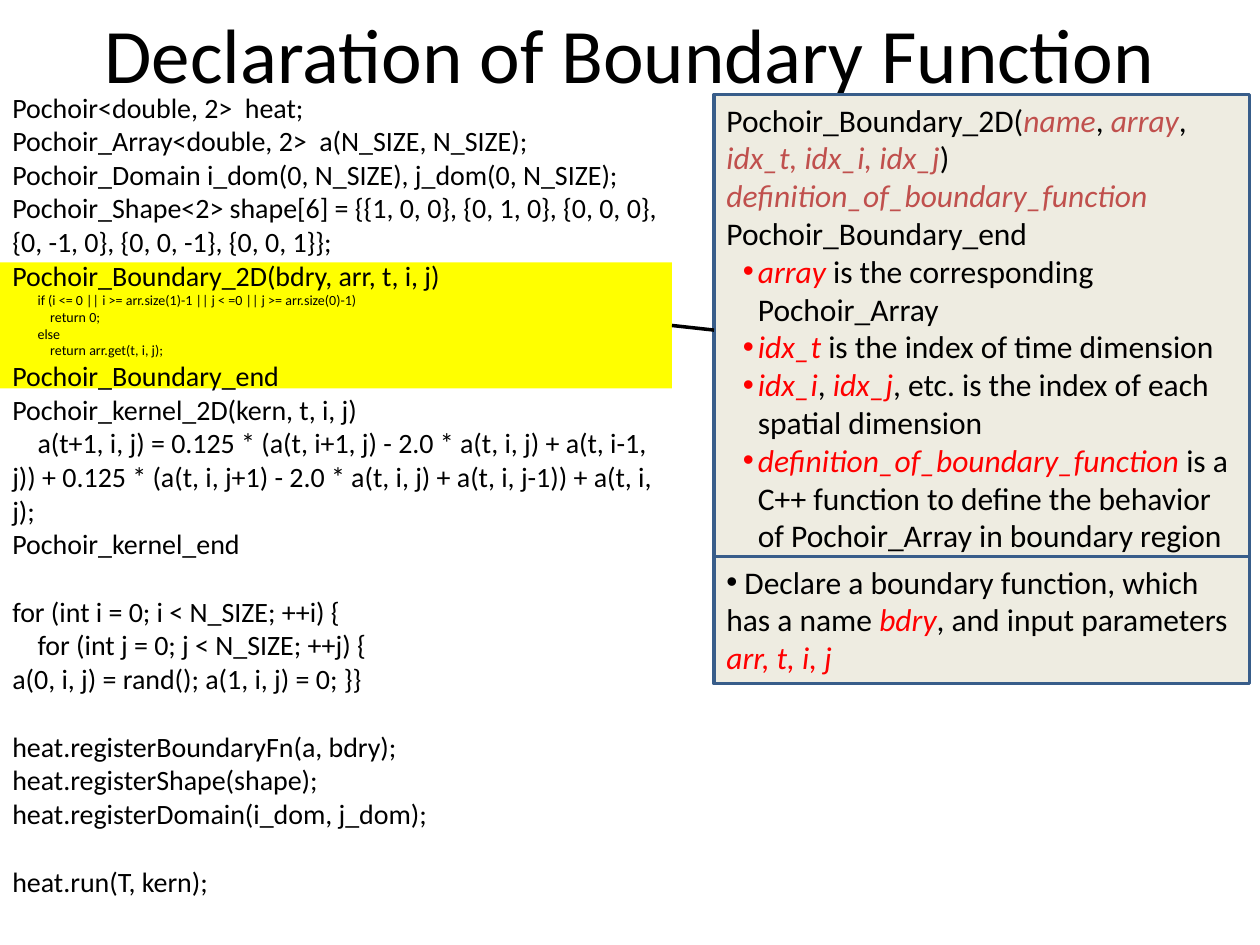
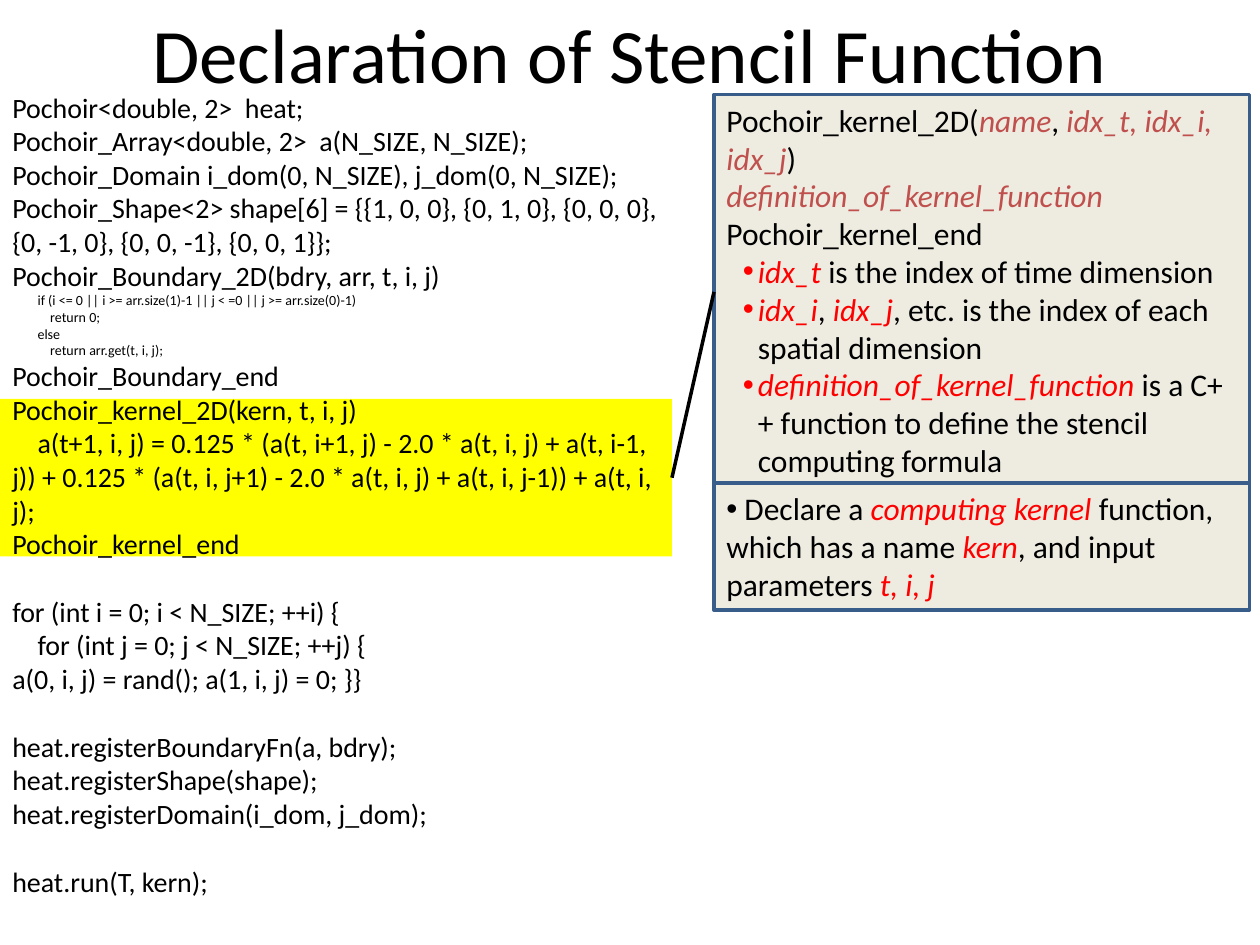
from pptx import Presentation
from pptx.dml.color import RGBColor
from pptx.enum.shapes import MSO_CONNECTOR as Connector, MSO_SHAPE as Shape
from pptx.enum.text import MSO_ANCHOR as Anchor, MSO_AUTO_SIZE as AutoSize, PP_ALIGN as Align
from pptx.oxml.ns import qn
from pptx.util import Inches, Pt
from lxml.etree import SubElement

WIDTH, HEIGHT = Inches(10), Inches(7.5)
COLUMNS, ROWS = 120, 90
FONT = "Calibri"
BLACK, ARGUMENT, KEYWORD = "000000", "C0504D", "FF0000"
HIGHLIGHT, PANEL, PANEL_EDGE = "FFFF00", "EEECE1", "385D8A"
CODE_SIZE, SMALL_CODE_SIZE, PANEL_SIZE = 16, 8, 18
CODE_LINE = 19.53
PANEL_PADDING, PANEL_LINE = 1.2, 3.64
TITLE_BOX = (6, 0, 108, 10)
CODE_BOX = (0, 8, 65, 78.7)
BAND_WIDTH = 64
PANEL_LEFT, PANEL_TOP, PANEL_WIDTH = 68, 9, 51

DECLARATIONS = [
    "Pochoir<double, 2>  heat;",
    "Pochoir_Array<double, 2>  a(N_SIZE, N_SIZE);",
    "Pochoir_Domain i_dom(0, N_SIZE), j_dom(0, N_SIZE);",
    "Pochoir_Shape<2> shape[6] = {{1, 0, 0}, {0, 1, 0}, {0, 0, 0}, {0, -1, 0}, {0, 0, -1}, {0, 0, 1}};",
    "Pochoir_Boundary_2D(bdry, arr, t, i, j)",
]
BOUNDARY_BODY = [
    ("if (i <= 0 || i >= arr.size(1)-1 || j < =0 || j >= arr.size(0)-1)", 0.2),
    ("return 0;", 0.3),
    ("else", 0.2),
    ("return arr.get(t, i, j);", 0.3),
]
KERNEL = [
    ("Pochoir_Boundary_end", 0),
    ("Pochoir_kernel_2D(kern, t, i, j)", 0),
    ("a(t+1, i, j) = 0.125 * (a(t, i+1, j) - 2.0 * a(t, i, j) + a(t, i-1, j)) + "
     "0.125 * (a(t, i, j+1) - 2.0 * a(t, i, j) + a(t, i, j-1)) + a(t, i, j);", 0.2),
    ("Pochoir_kernel_end", 0),
]
CLOSING_BLOCKS = [
    [("for (int i = 0; i < N_SIZE; ++i) {", 0),
     ("for (int j = 0; j < N_SIZE; ++j) {", 0.2),
     ("a(0, i, j) = rand(); a(1, i, j) = 0; }}", 0)],
    [("heat.registerBoundaryFn(a, bdry);", 0),
     ("heat.registerShape(shape);", 0),
     ("heat.registerDomain(i_dom, j_dom);", 0)],
    [("heat.run(T, kern);", 0)],
]


def arg(text):
    return text, ARGUMENT


def key(text):
    return text, KEYWORD


INDEX_NOTES = [
    [key("idx_t"), " is the index of time dimension"],
    [key("idx_i"), ", ", key("idx_j"), ", etc. is the index of each spatial dimension"],
]
TOPICS = [
    {
        "title": "Declaration of Boundary Function",
        "band": (25, 12),
        "syntax": [
            ["Pochoir_Boundary_2D(", arg("name"), ", ", arg("array"), ", ",
             arg("idx_t, idx_i, idx_j"), ")"],
            [arg("definition_of_boundary_function")],
            ["Pochoir_Boundary_end"],
        ],
        "notes": [
            [key("array "), "is the corresponding Pochoir_Array"],
            *INDEX_NOTES,
            [key("definition_of_boundary_function"),
             " is a C++ function to define the behavior of Pochoir_Array in boundary region"],
        ],
        "syntax_lines": 12,
        "summary_top": 53,
        "summary": [" Declare a boundary function, which has a name ", key("bdry"),
                    ", and input parameters ", key("arr, t, i, j")],
    },
    {
        "title": "Declaration of Stencil Function",
        "band": (38, 15),
        "syntax": [
            ["Pochoir_kernel_2D(", arg("name"), ", ", arg("idx_t, idx_i, idx_j"), ")"],
            [arg("definition_of_kernel_function")],
            ["Pochoir_kernel_end"],
        ],
        "notes": [
            *INDEX_NOTES,
            [key("definition_of_kernel_function"),
             " is a C++ function to define the stencil computing formula"],
        ],
        "syntax_lines": 10,
        "summary_top": 46,
        "summary": [" Declare a ", key("computing kernel "), "function, which has a name ",
                    key("kern"), ", and input parameters ", key("t, i, j")],
    },
]


def rgb(color):
    return RGBColor.from_string(color)


def on_grid(left, top, width, height):
    return (int(WIDTH * left / COLUMNS), int(HEIGHT * top / ROWS),
            int(WIDTH * width / COLUMNS), int(HEIGHT * height / ROWS))


def add_run(paragraph, text, size, color=BLACK):
    run = paragraph.add_run()
    run.text = text
    run.font.name = FONT
    run.font.size = Pt(size)
    run.font.italic = color != BLACK
    run.font.color.rgb = rgb(color)


def next_paragraph(frame):
    first = frame.paragraphs[0]
    paragraph = frame.add_paragraph() if first.runs else first
    paragraph.alignment = Align.LEFT
    return paragraph


def indent(paragraph, left, first_line):
    properties = paragraph._p.get_or_add_pPr()
    properties.set("marL", str(Inches(left)))
    properties.set("indent", str(Inches(first_line)))
    return properties


def add_bullet(paragraph, left=0, first_line=0):
    properties = indent(paragraph, left, first_line)
    SubElement(properties, qn("a:buFont")).set("typeface", "Arial")
    SubElement(properties, qn("a:buChar")).set("char", "•")


def add_rich_text(paragraph, pieces):
    for piece in pieces:
        text, color = (piece, BLACK) if isinstance(piece, str) else piece
        add_run(paragraph, text, PANEL_SIZE, color)


def add_rectangle(slide, box, fill, edge=None):
    rectangle = slide.shapes.add_shape(Shape.RECTANGLE, *on_grid(*box))
    rectangle.shadow.inherit = False
    rectangle.fill.solid()
    rectangle.fill.fore_color.rgb = rgb(fill)
    if edge:
        rectangle.line.color.rgb = rgb(edge)
        rectangle.line.width = Pt(2)
    else:
        rectangle.line.fill.background()
    return rectangle


def add_title(slide, title, box):
    frame = slide.shapes.add_textbox(*on_grid(*box)).text_frame
    frame.word_wrap = True
    frame.vertical_anchor = Anchor.MIDDLE
    frame.margin_top = frame.margin_bottom = 0
    frame.paragraphs[0].alignment = Align.CENTER
    add_run(frame.paragraphs[0], title, 44)


def add_code_line(frame, text, first_line=0, size=CODE_SIZE):
    paragraph = next_paragraph(frame)
    indent(paragraph, 0, first_line)
    add_run(paragraph, text, size)
    return paragraph


def add_code(slide, box):
    frame = slide.shapes.add_textbox(*on_grid(*box)).text_frame
    frame.word_wrap = True
    for text in DECLARATIONS:
        add_code_line(frame, text)
    for text, first_line in BOUNDARY_BODY:
        add_code_line(frame, text, first_line, SMALL_CODE_SIZE)
    for text, first_line in KERNEL:
        add_code_line(frame, text, first_line)
    for block in CLOSING_BLOCKS:
        lines = [add_code_line(frame, *line) for line in block]
        lines[0].space_before = Pt(CODE_LINE)


def add_panel(slide, top, line_count):
    box = (PANEL_LEFT, top, PANEL_WIDTH, PANEL_PADDING + PANEL_LINE * line_count)
    panel = add_rectangle(slide, box, PANEL, PANEL_EDGE)
    frame = panel.text_frame
    frame.word_wrap = True
    frame.auto_size = AutoSize.SHAPE_TO_FIT_TEXT
    frame.vertical_anchor = Anchor.TOP
    return panel


def add_syntax(slide, topic):
    panel = add_panel(slide, PANEL_TOP, topic["syntax_lines"])
    for pieces in topic["syntax"]:
        add_rich_text(next_paragraph(panel.text_frame), pieces)
    for pieces in topic["notes"]:
        note = next_paragraph(panel.text_frame)
        note.level = 1
        add_bullet(note, 0.25, -0.12)
        add_rich_text(note, pieces)
    return panel


def add_summary(slide, topic):
    summary = next_paragraph(add_panel(slide, topic["summary_top"], 3).text_frame)
    add_bullet(summary)
    add_rich_text(summary, topic["summary"])


def link(slide, band, syntax):
    connector = slide.shapes.add_connector(Connector.STRAIGHT, 0, 0, 0, 0)
    connector.begin_connect(band, 3)
    connector.end_connect(syntax, 1)
    connector.line.color.rgb = rgb(BLACK)
    connector.line.width = Pt(2)
    SubElement(connector._element.spPr, qn("a:effectLst"))


def add_topic_slide(deck, topic):
    slide = deck.slides.add_slide(deck.slide_layouts[6])
    band_top, band_height = topic["band"]
    band = add_rectangle(slide, (0, band_top, BAND_WIDTH, band_height), HIGHLIGHT)
    add_code(slide, CODE_BOX)
    add_title(slide, topic["title"], TITLE_BOX)
    syntax = add_syntax(slide, topic)
    link(slide, band, syntax)
    add_summary(slide, topic)


def main():
    deck = Presentation()
    deck.slide_width, deck.slide_height = WIDTH, HEIGHT
    for topic in TOPICS:
        add_topic_slide(deck, topic)
    deck.save("out.pptx")


if __name__ == "__main__":
    main()
